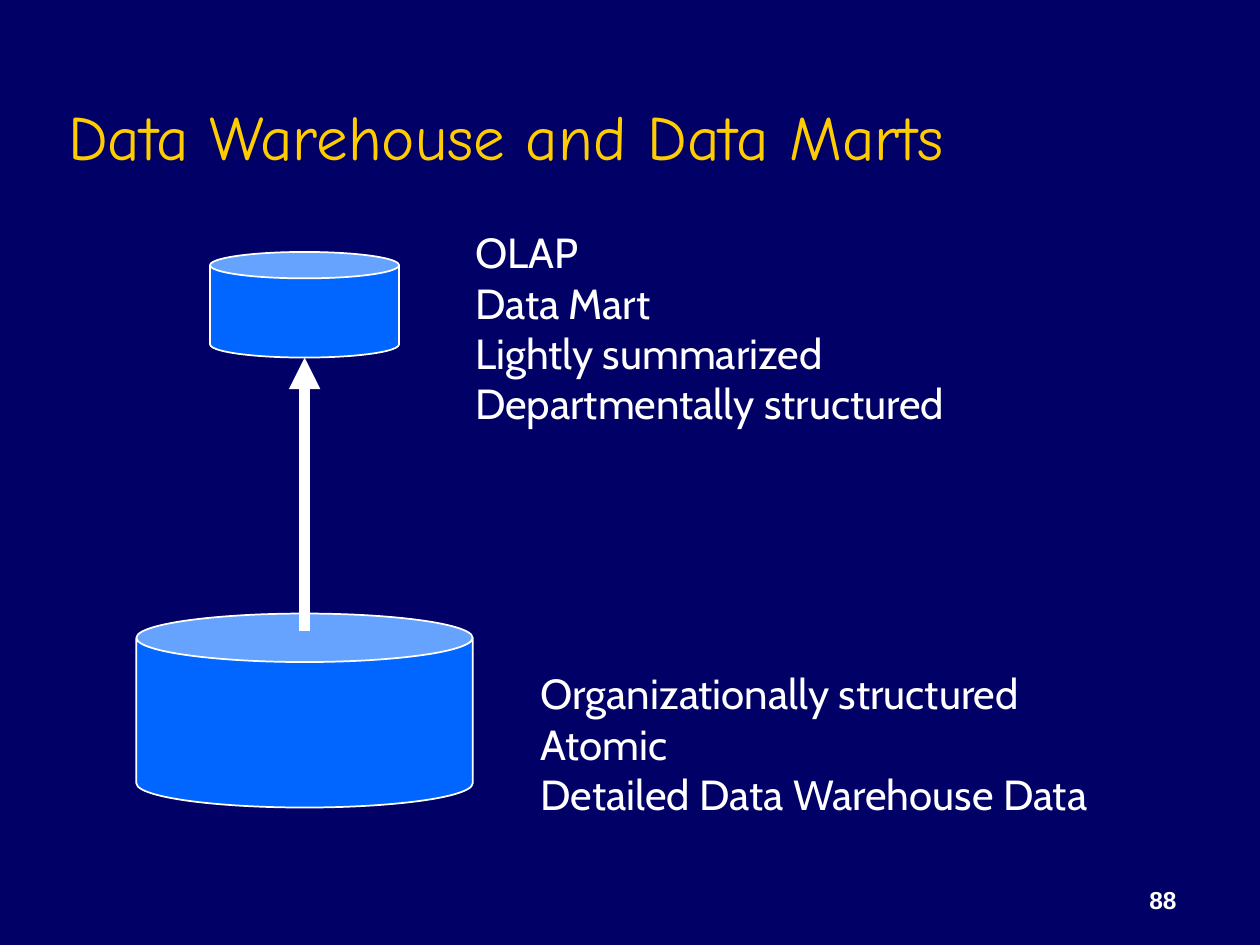
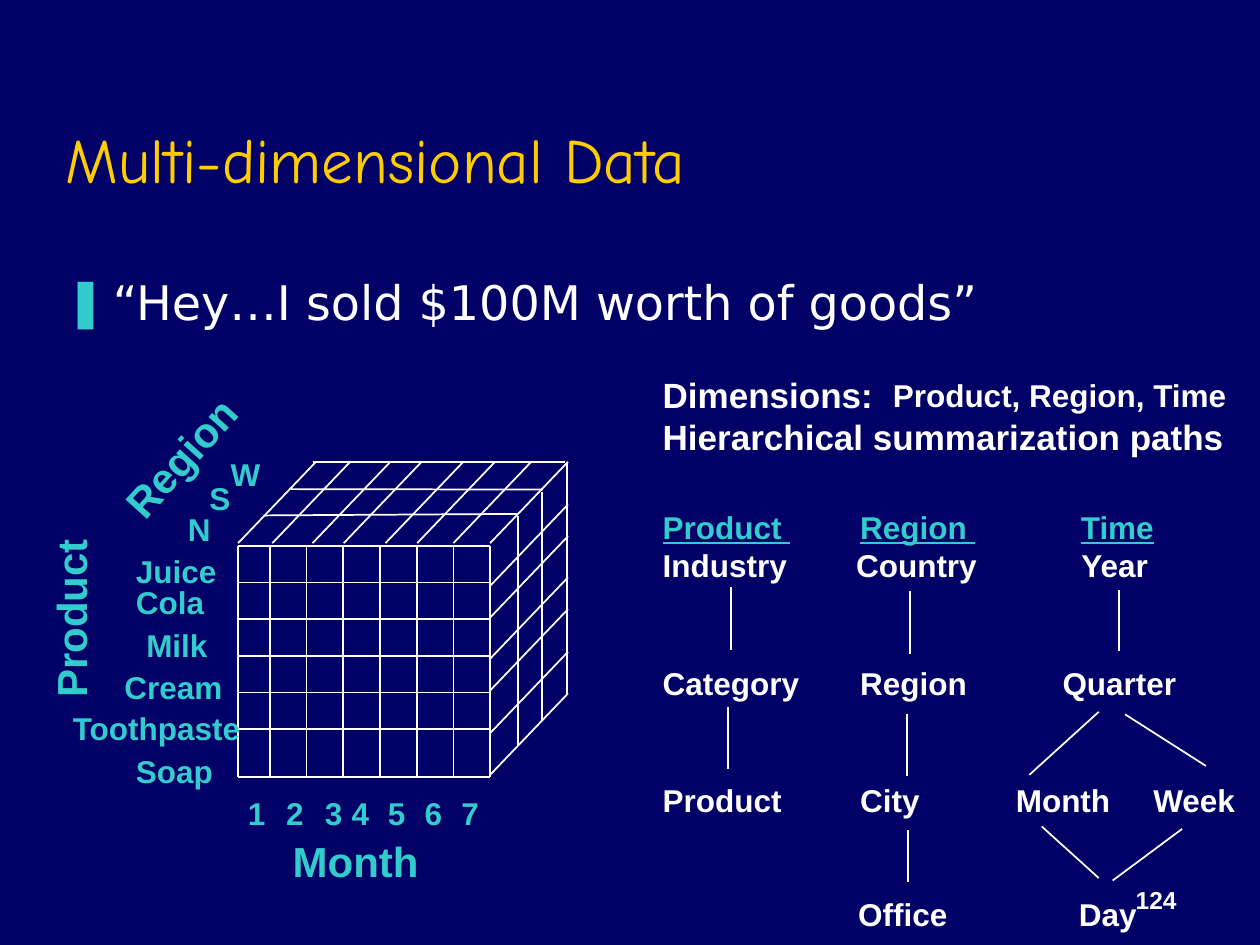
from lxml import etree
from pptx import Presentation
from pptx import util as u
from pptx.dml.color import RGBColor
from pptx.enum import shapes, text
from pptx.oxml.ns import qn

NAVY = RGBColor(0x00, 0x00, 0x66)
GOLD = RGBColor(0xFF, 0xCC, 0x00)
WHITE = RGBColor(0xFF, 0xFF, 0xFF)
TEAL = RGBColor(0x33, 0xCC, 0xCC)
BLUE = RGBColor(0x00, 0x66, 0xFF)

SLIDE_W, SLIDE_H = 25.4, 19.05

WAREHOUSE = {
    "title": "Data Warehouse and Data Marts",
    "title_box": (1.12, 0.64, 21.6, 2.97),
    "page": "88",
    "axis": 6.14,
    "cans": [(12.37, 6.78, 3.91), (5.08, 3.81, 2.13)],
    "arrow": (12.73, 7.21),
    "notes": [
        (9.58, 4.57, ["OLAP", "Data Mart", "Lightly summarized", "Departmentally structured"]),
        (10.9, 13.46, ["Organizationally structured", "Atomic", "Detailed Data Warehouse Data"]),
    ],
}

CUBE = {
    "title": "Multi-dimensional Data",
    "title_box": (1.07, 0.64, 22.7, 3.45),
    "page": "124",
    "quote": "“Hey…I sold $100M worth of goods”",
    "quote_box": (1.07, 5.38, 23.7, 1.47),
}
PRODUCTS = [("Juice", 2.74, 11.13), ("Cola", 2.74, 11.76), ("Milk", 2.95, 12.62),
            ("Cream", 2.51, 13.46), ("Toothpaste", 1.47, 14.3), ("Soap", 2.74, 15.16)]
REGIONS = [("W", 4.65, 9.17), ("S", 4.22, 9.65), ("N", 3.79, 10.29)]
MONTHS = [5.0, 5.77, 6.55, 7.09, 7.82, 8.56, 9.3]
MONTHS_TOP = 16.0
TURNED_AXES = [("Product", 1.42, 12.47, 270), ("Region", 3.64, 9.22, 312)]

FRONT = {"left": 4.8, "right": 9.88, "top": 11.0, "bottom": 15.67}
CELL = 0.74
DEPTH = (1.57, -1.64)
TOP_EDGE_Y = 10.95
TOP_STARTS = [4.8, 5.49, 6.3, 6.93, 7.77, 8.41, 9.14, 9.88]
SIDE_STARTS = [11.81, 12.45, 13.28, 13.92, 14.78, 15.62]
LAYERS = [
    (6.3, 9.32, 11.38, 9.32), (5.87, 9.86, 10.95, 9.87), (5.31, 10.39, 10.44, 10.36),
    (10.44, 10.41, 10.44, 15.01), (10.92, 9.91, 10.92, 14.53), (11.43, 9.32, 11.43, 14.02),
]

PATHS_LEFT = 13.36
HEADERS = [("Product ", 13.36), ("Region ", 17.34), ("Time", 21.79)]
HEADERS_TOP = 10.24
LEVELS = [
    (11.0, [("Industry", 13.36), ("Country", 17.26), ("Year", 21.8)]),
    (13.38, [("Category", 13.36), ("Region", 17.34), ("Quarter", 21.42)]),
    (15.74, [("Product", 13.36), ("City", 17.34), ("Month", 20.48), ("Week", 23.25)]),
    (18.04, [("Office", 17.3), ("Day", 21.75)]),
]
LINKS = [
    (14.73, 11.84, 14.73, 13.1), (14.68, 14.25, 14.68, 15.5),
    (18.34, 11.91, 18.34, 13.18), (18.29, 14.4, 18.29, 15.65), (18.31, 16.74, 18.31, 17.78),
    (22.56, 11.89, 22.56, 13.13), (22.15, 14.35, 20.75, 15.62), (22.68, 14.4, 24.31, 15.44),
    (21.0, 16.66, 22.15, 17.7), (23.83, 16.71, 22.43, 17.75),
]


def style(paragraph, size, color, font="Arial", bold=False):
    for run in paragraph.runs:
        run.font.size = u.Pt(size)
        run.font.name = font
        run.font.bold = bold
        run.font.color.rgb = color


def label(slide, lines, left, top, width=3.6, height=0.8, size=18, color=WHITE,
          font="Arial", bold=True, align=text.PP_ALIGN.LEFT, anchor=text.MSO_ANCHOR.TOP):
    width = min(width, SLIDE_W - left)
    box = slide.shapes.add_textbox(u.Cm(left), u.Cm(top), u.Cm(width), u.Cm(height))
    frame = box.text_frame
    frame.margin_left = frame.margin_right = frame.margin_top = frame.margin_bottom = 0
    frame.word_wrap = True
    frame.vertical_anchor = anchor
    frame.text = "\n".join(lines)
    for paragraph in frame.paragraphs:
        paragraph.alignment = align
        style(paragraph, size, color, font, bold)
    return box


def line(slide, x1, y1, x2, y2, width=1, arrow=False):
    stroke = slide.shapes.add_connector(
        shapes.MSO_CONNECTOR.STRAIGHT, u.Cm(x1), u.Cm(y1), u.Cm(x2), u.Cm(y2))
    stroke.line.color.rgb = WHITE
    stroke.line.width = u.Pt(width)
    if arrow:
        etree.SubElement(stroke.line._get_or_add_ln(), qn("a:tailEnd"), type="triangle")
    etree.SubElement(stroke._element.spPr, qn("a:effectLst"))


def fill_placeholder(holder, words, box, size, color, font, anchor):
    holder.left, holder.top, holder.width, holder.height = map(u.Cm, box)
    frame = holder.text_frame
    frame.text = words
    frame.auto_size = text.MSO_AUTO_SIZE.NONE
    frame.vertical_anchor = anchor
    paragraph = frame.paragraphs[0]
    paragraph.alignment = text.PP_ALIGN.LEFT
    paragraph.space_before = u.Pt(0)
    style(paragraph, size, color, font)
    return paragraph


def new_slide(prs, layout, content):
    slide = prs.slides.add_slide(prs.slide_layouts[layout])
    fill_placeholder(slide.shapes.title, content["title"], content["title_box"],
                     36, GOLD, "Comic Neue", text.MSO_ANCHOR.BOTTOM)
    label(slide, [content["page"]], 18.7, 17.3, 5.02, 1.14, size=14,
          align=text.PP_ALIGN.RIGHT, anchor=text.MSO_ANCHOR.BOTTOM)
    return slide


def warehouse_slide(prs):
    slide = new_slide(prs, 5, WAREHOUSE)
    axis = WAREHOUSE["axis"]
    for top, width, height in WAREHOUSE["cans"]:
        can = slide.shapes.add_shape(shapes.MSO_SHAPE.CAN, u.Cm(axis - width / 2),
                                     u.Cm(top), u.Cm(width), u.Cm(height))
        can.shadow.inherit = False
        can.fill.solid()
        can.fill.fore_color.rgb = BLUE
        can.line.color.rgb = WHITE
        can.line.width = u.Pt(1)
    start, end = WAREHOUSE["arrow"]
    line(slide, axis, start, axis, end, 6, arrow=True)
    for left, top, lines in WAREHOUSE["notes"]:
        label(slide, lines, left, top, 13, 1.03 * len(lines), size=24, font="Cabin", bold=False)


def draw_quote(slide):
    quote = fill_placeholder(slide.placeholders[1], CUBE["quote"], CUBE["quote_box"],
                             27.2, WHITE, "DejaVu Sans", text.MSO_ANCHOR.TOP)
    props = quote._p.get_or_add_pPr()
    props.set("marL", str(u.Cm(0.95)))
    props.set("indent", str(u.Cm(-0.95)))
    bullet_color = etree.SubElement(props, qn("a:buClr"))
    etree.SubElement(bullet_color, qn("a:srgbClr"), val=str(TEAL))
    etree.SubElement(props, qn("a:buChar"), char="❚")


def draw_cube(slide):
    left, right, top, bottom = (FRONT[side] for side in ("left", "right", "top", "bottom"))
    dx, dy = DEPTH
    columns = [left] + [right - CELL * i for i in range(7)]
    rows = [top + CELL * i for i in range(6)] + [bottom]
    edges = [(x, top, x, bottom) for x in columns]
    edges += [(left, y, right, y) for y in rows]
    edges += [(x, TOP_EDGE_Y, x + dx, TOP_EDGE_Y + dy) for x in TOP_STARTS]
    edges += [(right, y, right + dx, y + dy) for y in SIDE_STARTS]
    for edge in edges + LAYERS:
        line(slide, *edge)

    for name, x, y in PRODUCTS + REGIONS:
        label(slide, [name], x, y, color=TEAL)
    for number, x in enumerate(MONTHS, 1):
        label(slide, [str(number)], x, MONTHS_TOP, 0.6, color=TEAL)
    label(slide, ["Month"], 5.9, 16.84, height=1, size=24, color=TEAL)
    for name, x, y, angle in TURNED_AXES:
        axis = label(slide, [name], x - 1.8, y - 0.5, height=1, size=24, color=TEAL,
                     align=text.PP_ALIGN.CENTER, anchor=text.MSO_ANCHOR.MIDDLE)
        axis.rotation = angle


def draw_hierarchies(slide):
    label(slide, ["Dimensions:", "Hierarchical summarization paths"],
          PATHS_LEFT, 7.52, 12, 1.7, size=20)
    label(slide, ["Product, Region, Time"], 18.0, 7.58, 7.4)
    for name, x in HEADERS:
        header = label(slide, [name], x, HEADERS_TOP, color=TEAL)
        header.text_frame.paragraphs[0].runs[0].font.underline = True
    for top, names in LEVELS:
        for name, x in names:
            label(slide, [name], x, top)
    for link in LINKS:
        line(slide, *link)


def cube_slide(prs):
    slide = new_slide(prs, 1, CUBE)
    draw_quote(slide)
    draw_cube(slide)
    draw_hierarchies(slide)


def main():
    prs = Presentation()
    prs.slide_width, prs.slide_height = u.Cm(SLIDE_W), u.Cm(SLIDE_H)
    background = prs.slide_master.background.fill
    background.solid()
    background.fore_color.rgb = NAVY
    warehouse_slide(prs)
    cube_slide(prs)
    prs.save("out.pptx")


if __name__ == "__main__":
    main()
